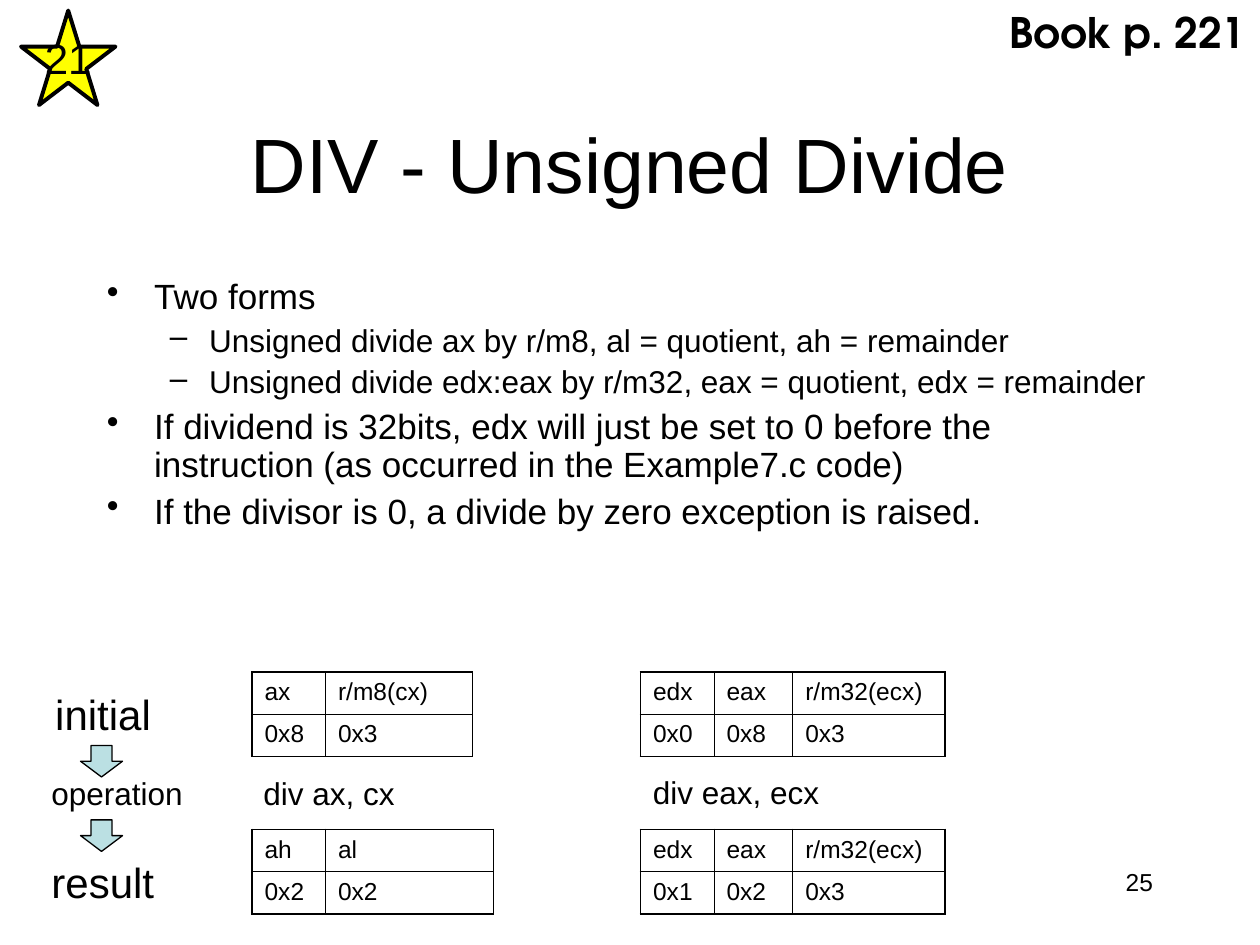
import pptx
import pptx.util
import pptx.dml.color
import pptx.enum.shapes
import pptx.enum.text
import pptx.oxml
import pptx.oxml.ns
import lxml.etree

Pt = pptx.util.Pt
RGBColor = pptx.dml.color.RGBColor
ALIGN = pptx.enum.text.PP_ALIGN
ANCHOR = pptx.enum.text.MSO_ANCHOR
AUTO_SIZE = pptx.enum.text.MSO_AUTO_SIZE

BLACK = RGBColor(0x00, 0x00, 0x00)
YELLOW = RGBColor(0xFF, 0xFF, 0x00)
PALE_TEAL = RGBColor(0xBB, 0xE0, 0xE3)
BODY_FONT = "Arial"
BOOK_FONT = "TeX Gyre Adventor"

BULLETS = [
    (0, "Two forms"),
    (1, "Unsigned divide ax by r/m8, al = quotient, ah = remainder"),
    (1, "Unsigned divide edx:eax by r/m32, eax = quotient, edx = remainder"),
    (0, "If dividend is 32bits, edx will just be set to 0 before the "
        "instruction (as occurred in the Example7.c code)"),
    (0, "If the divisor is 0, a divide by zero exception is raised."),
]
LEVELS = [
    {"size": 20, "before": 5, "margin": 27, "indent": -27, "mark": "\u2022"},
    {"size": 18, "before": 4.5, "margin": 58.5, "indent": -22.5, "mark": "\u2013"},
]
LABELS = [
    ("div ax, cx", 143.5, 439, 89, 29, 18, False),
    ("div eax, ecx", 366, 438, 120, 29, 18, True),
    ("initial", 24.5, 390, 69, 36, 24, False),
    ("operation", 22.3, 438.5, 89, 29, 18, False),
    ("result", 22.3, 486, 73, 36, 24, False),
]
INITIAL_TOP, RESULT_TOP = 384, 474
ROW_HEIGHT = 24.2
TABLES = [
    (144, INITIAL_TOP, [42, 84], [["ax", "r/m8(cx)"], ["0x8", "0x3"]]),
    (144, RESULT_TOP, [42, 96], [["ah", "al"], ["0x2", "0x2"]]),
    (366, INITIAL_TOP, [42, 45, 87],
     [["edx", "eax", "r/m32(ecx)"], ["0x0", "0x8", "0x3"]]),
    (366, RESULT_TOP, [42, 45, 87],
     [["edx", "eax", "r/m32(ecx)"], ["0x1", "0x2", "0x3"]]),
]
OUTER_BORDER, INNER_BORDER = 1.08, 0.45
ARROW_TOPS = [426, 468.5]
STAR_POINTS = [
    (12, 26.63), (32.63, 26.63), (39, 6), (45.37, 26.63), (66, 26.63),
    (49.31, 39.38), (55.69, 60), (39, 47.25), (22.31, 60), (28.69, 39.38),
]

presentation = pptx.Presentation()
presentation.slide_width = Pt(720)
presentation.slide_height = Pt(540)
slide = presentation.slides.add_slide(presentation.slide_layouts[6])


def format_paragraph(paragraph, size, font=BODY_FONT, bold=False):
    for run in paragraph.runs:
        run.font.size = Pt(size)
        run.font.name = font
        run.font.bold = bold
        run.font.color.rgb = BLACK


def add_text(text, left, top, width, height, size, wrap=True, align=ALIGN.LEFT,
             anchor=ANCHOR.TOP, font=BODY_FONT, bold=False):
    box = slide.shapes.add_textbox(Pt(left), Pt(top), Pt(width), Pt(height))
    frame = box.text_frame
    frame.text = text
    frame.word_wrap = wrap
    frame.auto_size = AUTO_SIZE.NONE
    frame.vertical_anchor = anchor
    frame.paragraphs[0].alignment = align
    format_paragraph(frame.paragraphs[0], size, font, bold)
    return frame


def style_shape(shape, fill, line_width):
    shape.shadow.inherit = False
    shape.fill.solid()
    shape.fill.fore_color.rgb = fill
    shape.line.color.rgb = BLACK
    shape.line.width = Pt(line_width)


def add_bullets():
    frame = add_text("\n".join(text for _, text in BULLETS), 54, 156, 612, 216, 20)
    for paragraph, (level, _) in zip(frame.paragraphs, BULLETS):
        style = LEVELS[level]
        paragraph.level = level
        paragraph.line_spacing = 0.9
        paragraph.space_before = Pt(style["before"])
        format_paragraph(paragraph, style["size"])
        properties = paragraph._p.get_or_add_pPr()
        properties.set("marL", str(Pt(style["margin"])))
        properties.set("indent", str(Pt(style["indent"])))
        mark = lxml.etree.SubElement(properties, pptx.oxml.ns.qn("a:buChar"))
        mark.set("char", style["mark"])


def set_borders(cell, widths):
    properties = cell._tc.get_or_add_tcPr()
    for position, (side, width) in enumerate(widths):
        properties.insert(position, pptx.oxml.parse_xml(
            f'<a:ln{side} {pptx.oxml.ns.nsdecls("a")} w="{Pt(width)}">'
            f'<a:solidFill><a:srgbClr val="{BLACK}"/></a:solidFill></a:ln{side}>'))


def add_register_table(left, top, widths, rows):
    table = slide.shapes.add_table(
        len(rows), len(widths), Pt(left), Pt(top),
        Pt(sum(widths)), Pt(ROW_HEIGHT * len(rows))).table
    table.first_row = False
    table.horz_banding = False
    for column, width in zip(table.columns, widths):
        column.width = Pt(width)
    for row_index, row in enumerate(rows):
        table.rows[row_index].height = Pt(ROW_HEIGHT)
        for column_index, text in enumerate(row):
            cell = table.cell(row_index, column_index)
            cell.text_frame.text = text
            cell.fill.background()
            paragraph = cell.text_frame.paragraphs[0]
            paragraph.space_before = Pt(3.5)
            format_paragraph(paragraph, 14)
            edges = [
                ("L", column_index == 0),
                ("R", column_index == len(widths) - 1),
                ("T", row_index == 0),
                ("B", row_index == len(rows) - 1),
            ]
            set_borders(cell, [(side, OUTER_BORDER if outer else INNER_BORDER)
                               for side, outer in edges])


def add_star():
    corners = [(Pt(x), Pt(y)) for x, y in STAR_POINTS]
    builder = slide.shapes.build_freeform(*corners[0])
    builder.add_line_segments(corners[1:], close=True)
    star = builder.convert_to_shape()
    style_shape(star, YELLOW, 2.24)
    frame = star.text_frame
    frame.text = "21"
    frame.word_wrap = False
    frame.vertical_anchor = ANCHOR.MIDDLE
    frame.paragraphs[0].alignment = ALIGN.CENTER
    format_paragraph(frame.paragraphs[0], 24)


add_text("25", 516, 492, 150, 36, 14, align=ALIGN.RIGHT)
add_text("DIV - Unsigned Divide", 54, 48, 612, 90, 44,
         align=ALIGN.CENTER, anchor=ANCHOR.MIDDLE)
add_bullets()
add_star()
for register_table in TABLES:
    add_register_table(*register_table)
add_text("Book p. 221", 569.5, 0, 150.5, 36, 24, wrap=False, font=BOOK_FONT, bold=True)
for label in LABELS:
    add_text(*label)
for arrow_top in ARROW_TOPS:
    arrow = slide.shapes.add_shape(
        pptx.enum.shapes.MSO_SHAPE.DOWN_ARROW, Pt(46), Pt(arrow_top), Pt(24), Pt(18))
    style_shape(arrow, PALE_TEAL, 0.74)

presentation.save("out.pptx")
